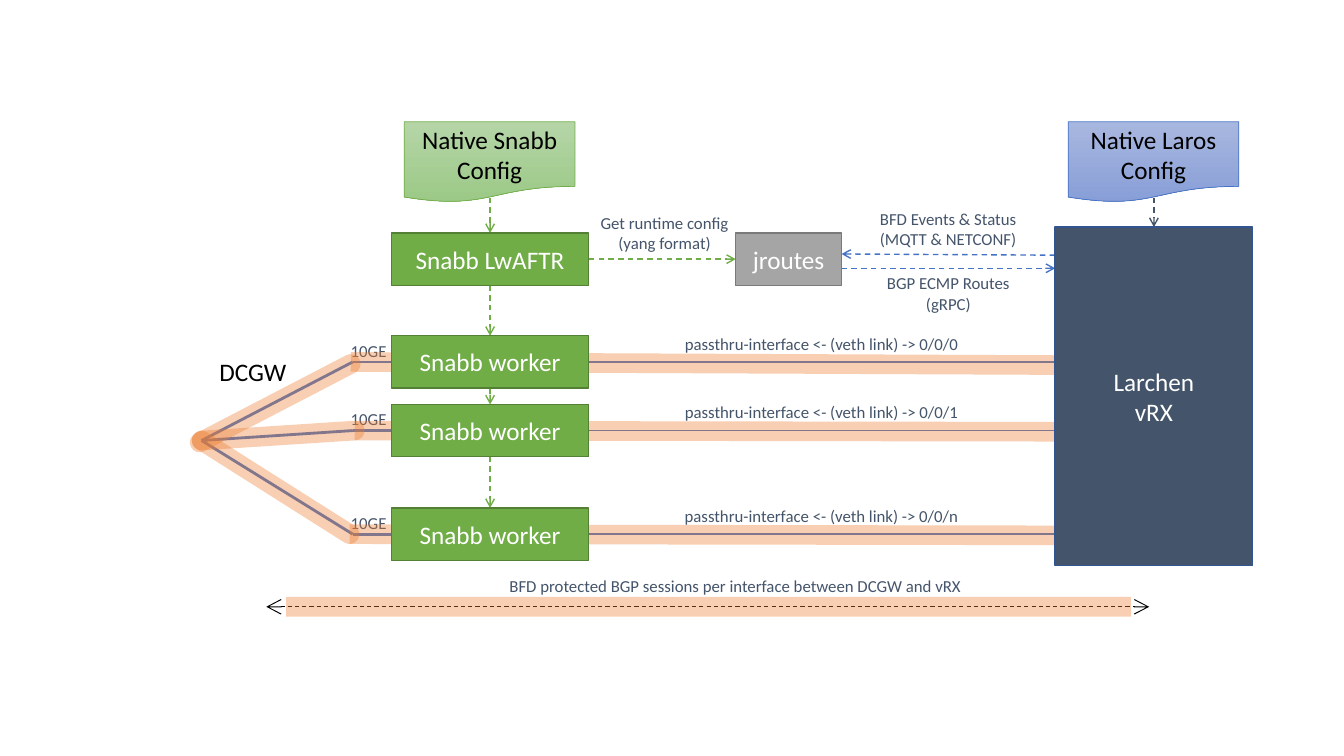
"""Build the network slide linking the Snabb workers to the virtual router."""
from dataclasses import dataclass

from lxml import etree
from pptx import Presentation
from pptx import util as u
from pptx.dml.color import RGBColor
from pptx.enum import dml, shapes, text
from pptx.oxml.ns import qn


@dataclass(frozen=True)
class Theme:
    """Colours, font and type sizes of the slide."""
    font: str = "Calibri"
    heading: int = 18
    label: int = 12
    black: str = "000000"
    white: str = "FFFFFF"
    slate: str = "44546A"
    router_edge: str = "325491"
    green: str = "70AD47"
    green_edge: str = "538035"
    grey: str = "A5A5A5"
    grey_edge: str = "7A7A7A"
    blue: str = "4472C4"
    orange: str = "ED7D31"
    green_fade: tuple = ("B5D5A7", "9CC987")
    blue_fade: tuple = ("A8B7DF", "889ED7")


class Diagram:
    """Draw styled elements on one slide, with lengths in centimetres."""

    def __init__(self, slide, theme):
        """Keep the slide and its theme."""
        self.slide = slide
        self.theme = theme

    def set_wording(self, frame, wording, size, color, align=text.PP_ALIGN.CENTER):
        """Fill a text frame and format all of its runs."""
        frame.text = wording
        for paragraph in frame.paragraphs:
            paragraph.alignment = align
            for run in paragraph.runs:
                run.font.name = self.theme.font
                run.font.size = u.Pt(size)
                run.font.color.rgb = RGBColor.from_string(color)

    def block(self, place, wording, fill, edge, kind=shapes.MSO_SHAPE.RECTANGLE,
              color=None, weight=1):
        """Add a filled shape; a pair of colours makes a downward gradient."""
        shape = self.slide.shapes.add_shape(kind, *map(u.Cm, place))
        shape.shadow.inherit = False
        if isinstance(fill, tuple):
            shape.fill.gradient()
            shape.fill.gradient_angle = 270
            for stop, shade in zip(shape.fill.gradient_stops, fill):
                stop.color.rgb = RGBColor.from_string(shade)
        else:
            shape.fill.solid()
            shape.fill.fore_color.rgb = RGBColor.from_string(fill)
        shape.line.color.rgb = RGBColor.from_string(edge)
        shape.line.width = u.Pt(weight)
        shape.text_frame.vertical_anchor = text.MSO_ANCHOR.MIDDLE
        self.set_wording(shape.text_frame, wording, self.theme.heading,
                         color or self.theme.white)

    def config(self, left, wording, fade, edge):
        """Add a configuration document."""
        self.block((left, 3.07, 4.3, 2.03), wording, fade, edge,
                   shapes.MSO_SHAPE.FLOWCHART_DOCUMENT, self.theme.black, 0.5)

    def label(self, place, wording, size=None, color=None, align=text.PP_ALIGN.CENTER):
        """Add an unwrapped text box."""
        box = self.slide.shapes.add_textbox(*map(u.Cm, place))
        box.text_frame.word_wrap = False
        box.text_frame.auto_size = text.MSO_AUTO_SIZE.SHAPE_TO_FIT_TEXT
        self.set_wording(box.text_frame, wording, size or self.theme.label,
                         color or self.theme.slate, align)

    def line(self, start, end, color, weight=1):
        """Add a straight line and return it."""
        link = self.slide.shapes.add_connector(
            shapes.MSO_CONNECTOR.STRAIGHT, *map(u.Cm, start + end))
        link.line.color.rgb = RGBColor.from_string(color)
        link.line.width = u.Pt(weight)
        etree.SubElement(link._element.spPr, qn("a:effectLst"))
        return link

    def arrow(self, start, end, color, weight=1, ends=("tailEnd",), size="med"):
        """Add a dashed line with open arrowheads."""
        link = self.line(start, end, color, weight)
        link.line.dash_style = dml.MSO_LINE.DASH
        outline = link._element.spPr.find(qn("a:ln"))
        for end_name in ends:
            etree.SubElement(outline, qn(f"a:{end_name}"), type="arrow", w=size, len=size)

    def band(self, start, end, cap="flat"):
        """Add a wide translucent session band."""
        outline = self.line(start, end, self.theme.orange, 14)._element.spPr.find(qn("a:ln"))
        outline.set("cap", cap)
        etree.SubElement(next(outline.iter(qn("a:srgbClr"))), qn("a:alpha"), val="36000")


def main():
    """Lay out the diagram and save it."""
    deck = Presentation()
    deck.slide_width, deck.slide_height = u.Cm(33.87), u.Cm(19.05)
    theme = Theme()
    diagram = Diagram(deck.slides.add_slide(deck.slide_layouts[6]), theme)

    node_left, node_width, node_height = 9.86, 4.98, 1.32
    node_right, node_center = node_left + node_width, node_left + node_width / 2
    control_top, control_middle = 5.87, 6.53
    jroutes_left, jroutes_width = 18.54, 2.67
    jroutes_right = jroutes_left + jroutes_width
    router_left, router_top = 26.59, 5.72
    router_center = router_left + node_width / 2
    gateway = (5.08, 11.1)
    port_left = 8.89
    worker_tops = (8.46, 10.19, 12.8)
    band_starts = ((5.03, 11.15), gateway, gateway)
    band_bends = ((8.84, 9.17), (8.94, 10.85), (8.81, 13.46))

    for top, port in zip(worker_tops, "01n"):
        middle = top + node_height / 2
        diagram.line((node_right, middle), (27.58, middle), theme.blue)
        diagram.line((port_left, middle), (node_left, middle), theme.blue, 2)
        diagram.line(gateway, (port_left, middle), theme.blue, 2)
        diagram.label((16.92, middle - 0.84, 7.57, 0.76),
                      f"passthru-interface <- (veth link) -> 0/0/{port}")
        diagram.label((8.58, middle - 0.67, 1.42, 0.76), "10GE")

    diagram.label((5.28, 8.86, 2.21, 1.02), "DCGW", theme.heading, theme.black,
                  text.PP_ALIGN.LEFT)
    diagram.label((14.86, 5.23, 3.78, 1.27), "Get runtime config\v(yang format)")
    diagram.label((21.9, 5.13, 3.99, 1.27), "BFD Events & Status\n(MQTT & NETCONF)")
    diagram.label((22.07, 6.76, 3.66, 1.27), "BGP ECMP Routes\v(gRPC)")
    diagram.label((12.45, 14.38, 12.17, 0.76),
                  "BFD protected BGP sessions per interface between DCGW and vRX")

    diagram.config(10.19, "Native Snabb Config", theme.green_fade, theme.green)
    diagram.config(26.92, "Native Laros Config", theme.blue_fade, theme.blue)

    diagram.arrow((node_right, control_middle), (jroutes_left, control_middle), theme.green)
    diagram.arrow((jroutes_right, 6.76), (router_left, 6.76), theme.blue)
    diagram.arrow((router_left, 6.43), (jroutes_right, 6.4), theme.blue)
    diagram.arrow((router_center, 4.98), (router_center, router_top), theme.slate)
    node_tops = (control_top,) + worker_tops
    departures = (4.98,) + tuple(top + node_height for top in node_tops)
    for departure, arrival in zip(departures, node_tops):
        diagram.arrow((node_center, departure), (node_center, arrival), theme.green)
    diagram.arrow((6.71, 15.29), (28.96, 15.29), theme.black, 0.75,
                  ("headEnd", "tailEnd"), "lg")

    for top, start, bend in zip(worker_tops, band_starts, band_bends):
        middle = top + node_height / 2
        diagram.band(start, bend, "rnd")
        diagram.band((router_left, bend[1] + 0.03), (bend[0], middle))
    diagram.band((28.5, 15.29), (7.21, 15.29))

    diagram.block((router_left, router_top, node_width, 8.53), "Larchen\nvRX",
                  theme.slate, theme.router_edge)
    diagram.block((jroutes_left, control_top, jroutes_width, node_height), "jroutes",
                  theme.grey, theme.grey_edge)
    for top, wording in zip(node_tops, ("Snabb LwAFTR",) + ("Snabb worker",) * 3):
        diagram.block((node_left, top, node_width, node_height), wording,
                      theme.green, theme.green_edge)

    deck.save("out.pptx")


if __name__ == "__main__":
    main()
